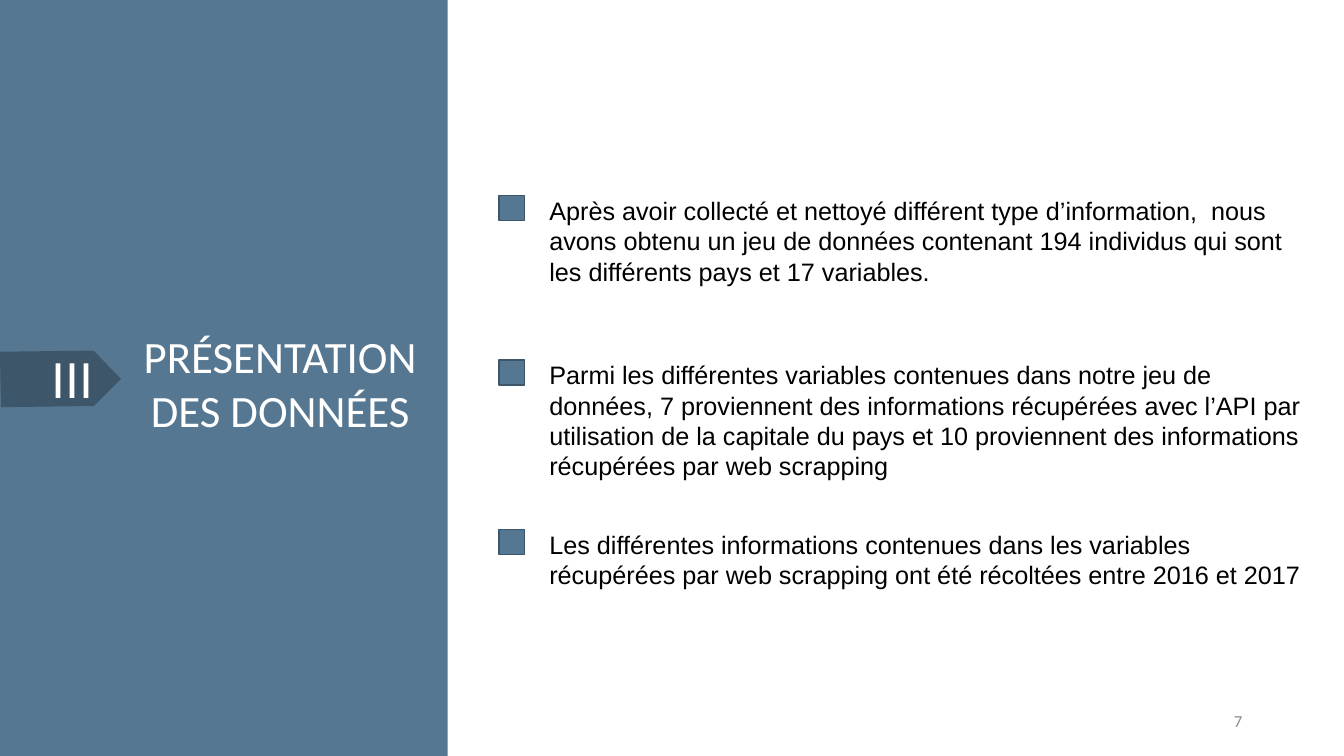
from pptx import Presentation
from pptx.dml.color import RGBColor
from pptx.enum.shapes import MSO_SHAPE as Preset
from pptx.enum.text import MSO_ANCHOR as Anchor, MSO_AUTO_SIZE as AutoSize, PP_ALIGN as Align
from pptx.util import Inches, Pt

BLUE = RGBColor(0x56, 0x77, 0x91)
DARK_BLUE = RGBColor(0x3E, 0x56, 0x69)
WHITE = RGBColor(0xFF, 0xFF, 0xFF)
BLACK = RGBColor(0x00, 0x00, 0x00)
GREY = RGBColor(0x8C, 0x8C, 0x8C)

TITLE_ONLY = 5

# Top of each text box, its height and its wording
POINTS = [
    (1.89, 1.01, "Après avoir collecté et nettoyé différent type d’information,  nous avons "
                 "obtenu un jeu de données contenant 194 individus qui sont les différents "
                 "pays et 17 variables."),
    (3.52, 1.31, "Parmi les différentes variables contenues dans notre jeu de données, "
                 "7 proviennent des informations récupérées avec l’API par utilisation de la "
                 "capitale du pays et 10 proviennent des informations récupérées par web scrapping"),
    (5.20, 0.71, "Les différentes informations contenues dans les variables récupérées par "
                 "web scrapping ont été récoltées entre 2016 et 2017"),
]

# Corners of the section tag
TAG = [(0, 3.49), (0.82, 3.48), (0.93, 3.48), (1.2, 3.76), (0.93, 4.03), (0.82, 4.03), (0.01, 4.04)]


class SectionSlide:
    body_font = "Arial"
    heading_font = "Calibri"

    def __init__(self, deck):
        self.page = deck.slides.add_slide(deck.slide_layouts[TITLE_ONLY])

    def paint(self, shape, fill, line=None):
        shape.shadow.inherit = False
        shape.fill.solid()
        shape.fill.fore_color.rgb = fill
        if line is None:
            shape.line.fill.background()
        else:
            shape.line.color.rgb = line
            shape.line.width = Pt(1)

    def rectangle(self, left, top, width, height, fill, line=None):
        lengths = [Inches(value) for value in (left, top, width, height)]
        self.paint(self.page.shapes.add_shape(Preset.RECTANGLE, *lengths), fill, line)

    def outline(self, corners, fill):
        first, *others = [(Inches(x), Inches(y)) for x, y in corners]
        builder = self.page.shapes.build_freeform(*first)
        builder.add_line_segments(others, close=True)
        self.paint(builder.convert_to_shape(), fill)

    def fill_text(self, box, wording, size, color, font, align, anchor):
        frame = box.text_frame
        frame.word_wrap = True
        frame.auto_size = AutoSize.NONE
        frame.vertical_anchor = anchor
        para = frame.paragraphs[0]
        para.alignment = align
        span = para.add_run()
        span.text = wording
        span.font.size = Pt(size)
        span.font.name = font
        span.font.color.rgb = color

    def text(self, left, top, width, height, wording, size, color,
             font=body_font, align=Align.LEFT, anchor=Anchor.TOP):
        lengths = [Inches(value) for value in (left, top, width, height)]
        box = self.page.shapes.add_textbox(*lengths)
        self.fill_text(box, wording, size, color, font, align, anchor)

    def title(self, left, top, width, height, wording, size, color):
        box = self.page.shapes.title
        box.left, box.top = Inches(left), Inches(top)
        box.width, box.height = Inches(width), Inches(height)
        self.fill_text(box, wording, size, color, self.heading_font, Align.CENTER, Anchor.TOP)
        # Bring the title in front of the side panel
        box.element.getparent().append(box.element)


def main():
    deck = Presentation()
    deck.slide_width, deck.slide_height = Inches(13.33), Inches(7.5)
    slide = SectionSlide(deck)

    # Side panel with the section number and title
    slide.rectangle(0, 0, 4.44, 7.5, BLUE)
    slide.outline(TAG, DARK_BLUE)
    slide.title(1.04, 3.21, 3.48, 1.18, "PRÉSENTATION DES DONNÉES", 32, WHITE)
    slide.text(0.41, 3.4, 0.8, 0.71, "III", 36, WHITE)

    # Points, each with its square marker
    for top, height, wording in POINTS:
        slide.rectangle(4.95, top + 0.05, 0.25, 0.25, BLUE, DARK_BLUE)
        slide.text(5.35, top, 7.68, height, wording, 18, BLACK)

    # Slide number
    slide.text(9.42, 6.95, 3, 0.4, "7", 12, GREY, slide.heading_font, Align.RIGHT, Anchor.MIDDLE)

    deck.save("out.pptx")


if __name__ == "__main__":
    main()
